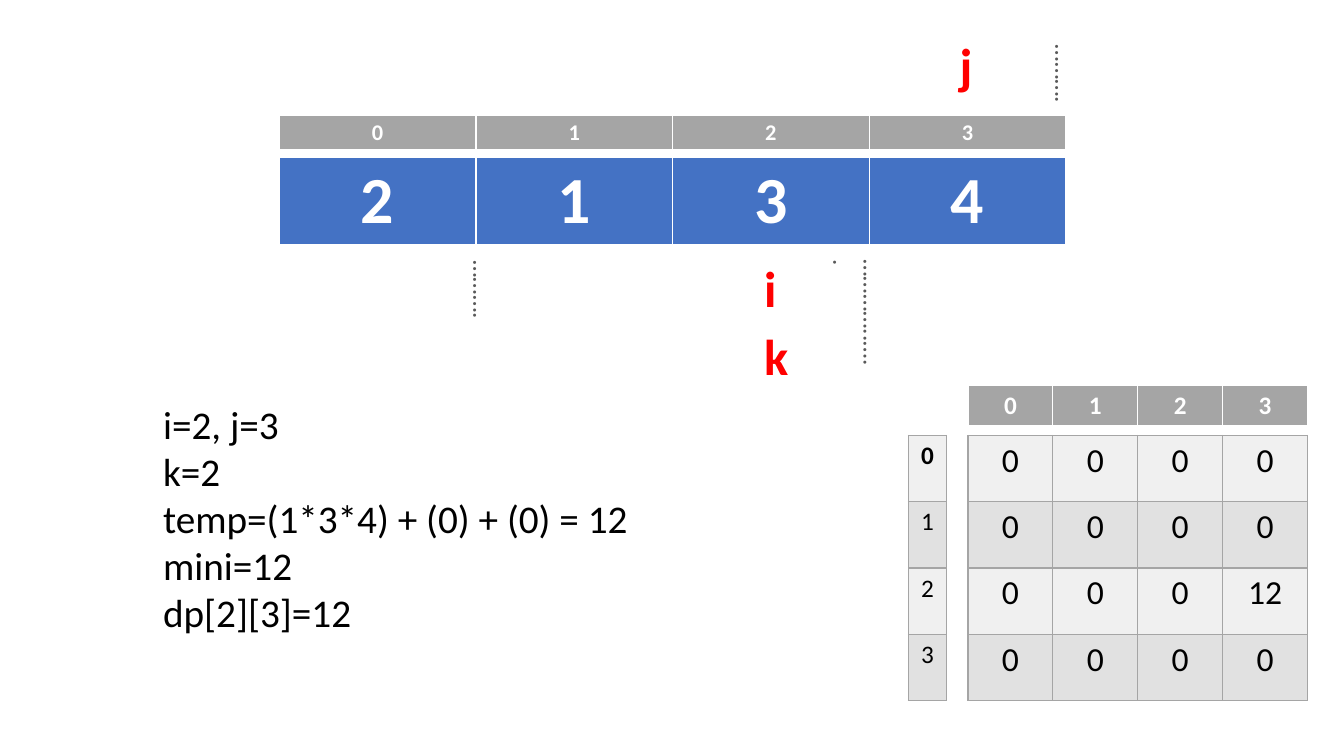
import pptx
import pptx.dml.color
import pptx.enum.text
import pptx.oxml
import pptx.oxml.ns
import pptx.util

Inches = pptx.util.Inches
RGBColor = pptx.dml.color.RGBColor
PP_ALIGN = pptx.enum.text.PP_ALIGN

WHITE = RGBColor(0xFF, 0xFF, 0xFF)
BLACK = RGBColor(0x00, 0x00, 0x00)
RED = RGBColor(0xFF, 0x00, 0x00)
BLUE = RGBColor(0x44, 0x72, 0xC4)
GRAY = RGBColor(0xA5, 0xA5, 0xA5)
DOT_GRAY = RGBColor(0x59, 0x59, 0x59)
LIGHT_BAND = RGBColor(0xF0, 0xF0, 0xF0)
DARK_BAND = RGBColor(0xE1, 0xE1, 0xE1)

INDICES = ["0", "1", "2", "3"]
TIGHT_MARGINS = {"margin_left": Inches(0.09), "margin_right": Inches(0.09),
                 "margin_top": Inches(0.04), "margin_bottom": Inches(0.04)}
WHITE_EDGES = {"lnL": 1, "lnR": 1, "lnT": 1, "lnB": 3}
GRID_EDGES = dict.fromkeys(WHITE_EDGES, 1)


def format_runs(paragraph, size, color, bold=False):
    for run in paragraph.runs:
        run.font.color.rgb = color
        values = {"name": "Calibri", "size": pptx.util.Pt(size), "bold": bold}
        for attribute, value in values.items():
            setattr(run.font, attribute, value)


def set_borders(cell, color, edges):
    """Put the edge lines before the fill, as the cell schema requires."""
    properties = cell._tc.get_or_add_tcPr()
    for position, (edge, width) in enumerate(edges.items()):
        properties.insert(position, pptx.oxml.parse_xml(
            f'<a:{edge} {pptx.oxml.ns.nsdecls("a")} w="{pptx.util.Pt(width)}">'
            f'<a:solidFill><a:srgbClr val="{color}"/></a:solidFill></a:{edge}>'))


def add_grid(slide, box, values, size, color, fills, border, edges,
             bold_rows=(), margins=None):
    """Fill box with equal cells; row fills repeat in turn."""
    left, top, width, height = box
    grid = slide.shapes.add_table(
        len(values), len(values[0]), Inches(left), Inches(top),
        Inches(width), Inches(height)).table
    grid.first_row = grid.horz_banding = False
    for column in grid.columns:
        column.width = Inches(width / len(values[0]))
    for r, row in enumerate(values):
        grid.rows[r].height = Inches(height / len(values))
        for c, value in enumerate(row):
            cell = grid.cell(r, c)
            for attribute, margin in (margins or {}).items():
                setattr(cell, attribute, margin)
            cell.fill.solid()
            cell.fill.fore_color.rgb = fills[r % len(fills)]
            set_borders(cell, border, edges)
            cell.text = value
            paragraph = cell.text_frame.paragraphs[0]
            paragraph.alignment = PP_ALIGN.CENTER
            format_runs(paragraph, size, color, r in bold_rows)


def add_header(slide, box, values, size, fill, margins=None):
    add_grid(slide, box, [values], size, WHITE, [fill], WHITE, WHITE_EDGES,
             bold_rows=(0,), margins=margins)


def add_text(slide, box, lines, size, color, bold=False, rotation=0):
    label = slide.shapes.add_textbox(*map(Inches, box))
    label.rotation = rotation
    frame = label.text_frame
    frame.word_wrap = True
    frame.auto_size = pptx.enum.text.MSO_AUTO_SIZE.SHAPE_TO_FIT_TEXT
    frame.text = "\n".join(lines)
    for paragraph in frame.paragraphs:
        format_runs(paragraph, size, color, bold)


def add_array(slide, left, top, width):
    add_header(slide, (left, top + 0.42, width, 0.88), ["2", "1", "3", "4"],
               47, BLUE, TIGHT_MARGINS)
    add_header(slide, (left, top, width, 0.36), INDICES, 16, GRAY, TIGHT_MARGINS)


def add_pointers(slide, left, top):
    """Place i and k under the array, j above its last cell."""
    for name, dx, dy in [("i", 0, 0), ("j", 1.94, -2.21), ("k", 0, 0.68)]:
        add_text(slide, (left + dx, top + dy, 0.4, 0.71), [name], 36, RED, bold=True)


def add_partitions(slide):
    for dots, left, top, length in [("……….", 4.31, 2.77, 0.97),
                                    ("……….", 10.08, 0.63, 0.97),
                                    ("…………..…..", 8.01, 2.93, 1.31)]:
        add_text(slide, (left, top, length, 0.4), [dots], 18, DOT_GRAY, rotation=90)


def add_dp_matrix(slide, left, top, size):
    bands = [LIGHT_BAND, DARK_BAND]
    costs = [["0"] * 4 for _ in INDICES]
    costs[2][3] = "12"
    add_grid(slide, (left, top, size, 2.63), costs, 24, BLACK, bands, GRAY, GRID_EDGES)
    add_header(slide, (left, top - 0.5, size, 0.41), INDICES, 18, GRAY)
    add_grid(slide, (left - 0.59, top, 0.38, 2.63), [[index] for index in INDICES],
             18, BLACK, bands, GRAY, GRID_EDGES, bold_rows=(0,))


def main():
    deck = pptx.Presentation()
    deck.slide_width, deck.slide_height = Inches(13.33), Inches(7.5)
    slide = deck.slides.add_slide(deck.slide_layouts[6])
    add_array(slide, 2.77, 1.14, 7.8)
    add_pointers(slide, 7.48, 2.5)
    add_text(slide, (1.52, 3.92, 7.27, 2.46),
             ["i=2, j=3", "k=2", "temp=(1*3*4) + (0) + (0) = 12",
              "mini=12\vdp[2][3]=12"], 28, BLACK)
    add_dp_matrix(slide, 9.6, 4.32, 3.37)
    add_partitions(slide)
    deck.save("out.pptx")


if __name__ == "__main__":
    main()
